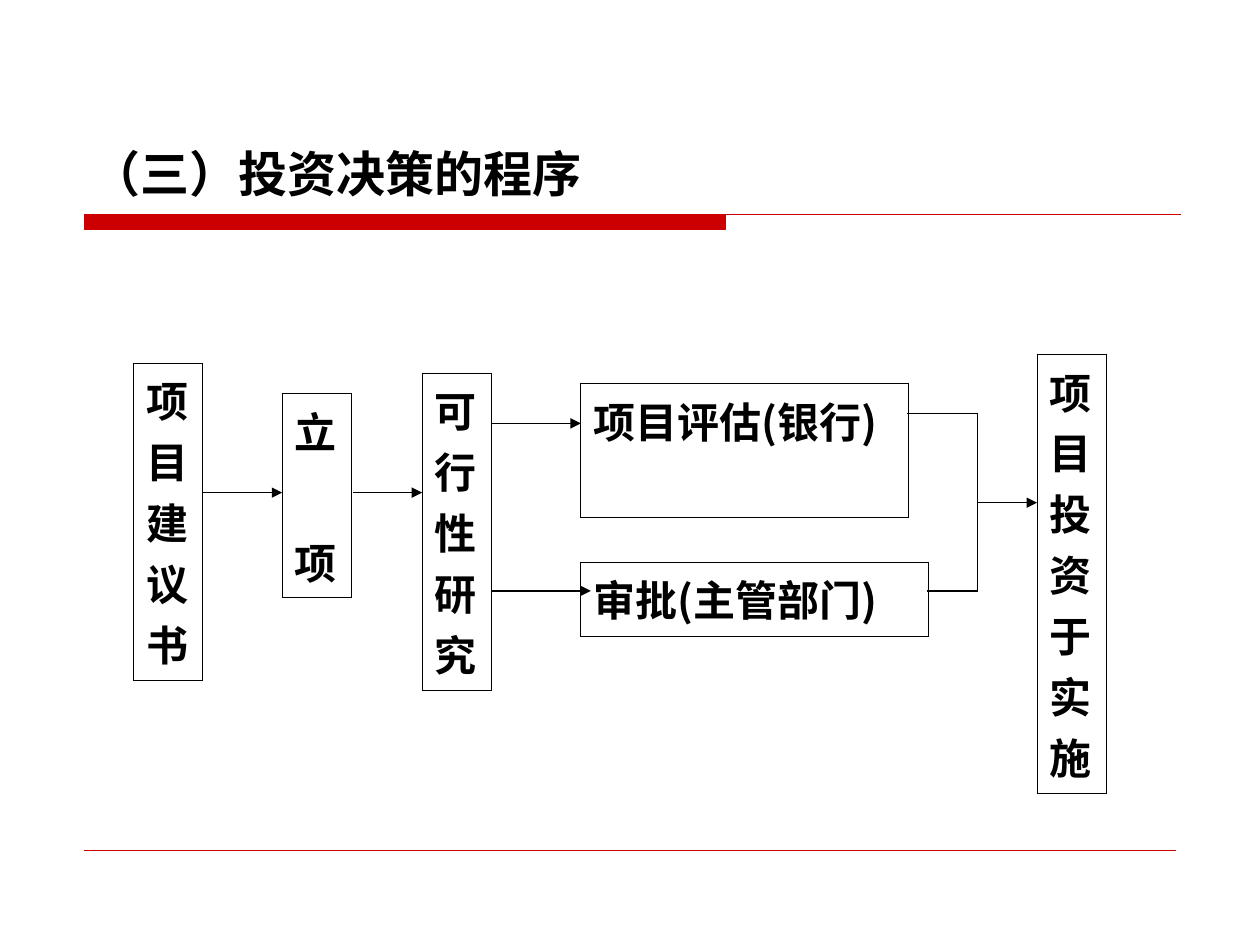
"""Build a slide with a flow chart of the investment decision steps."""
import pptx
import pptx.dml.color
import pptx.enum.shapes
import pptx.enum.text
import pptx.oxml
import pptx.oxml.ns
import pptx.util

Inches, Pt = pptx.util.Inches, pptx.util.Pt
SANS, HAN = "DejaVu Sans", "Noto Sans CJK SC"
BLACK, RED = "000000", "CC0000"

TITLE = "（三）投资决策的程序"
STEPS = [
    ((1.06, 2.88, 0.55, 2.52), [[("项目建议书", SANS)]]),
    ((2.24, 3.12, 0.55, 1.61), [[("立", SANS)], [("项", SANS)]]),
    ((3.35, 2.96, 0.55, 2.52), [[("可行性研究", SANS)]]),
    ((4.61, 3.04, 2.6, 1.07), [[("项目评估", SANS), ("(银行)", HAN)]]),
    ((4.61, 4.46, 2.76, 0.59), [[("审批(主管部门)", HAN)]]),
    ((8.23, 2.81, 0.55, 3.49), [[("项目投资于实施", SANS)]]),
]
ARROWS = [
    (1.61, 3.91, 2.24, 3.91),
    (2.8, 3.91, 3.35, 3.91),
    (3.9, 3.36, 4.61, 3.36),
    (3.9, 4.69, 4.69, 4.69),
    (7.76, 3.99, 8.23, 3.99),
]
LINES = [
    (7.2, 3.28, 7.76, 3.28),
    (7.76, 3.28, 7.76, 4.69),
    (7.76, 4.69, 7.36, 4.69),
]


def color(code):
    return pptx.dml.color.RGBColor.from_string(code)


def node(tag, **attrs):
    item = pptx.oxml.parse_xml(f"<a:{tag} {pptx.oxml.ns.nsdecls('a')}/>")
    for key, value in attrs.items():
        item.set(key, value)
    return item


def style(run, size, face):
    font = run.font
    font.size, font.bold, font.name = Pt(size), True, face
    font.color.rgb = color(BLACK)
    run._r.get_or_add_rPr().append(node("ea", typeface=HAN))


def draw_line(slide, ends, code=BLACK, width=0.75, arrow=False):
    kind = pptx.enum.shapes.MSO_CONNECTOR.STRAIGHT
    line = slide.shapes.add_connector(kind, *map(Inches, ends))
    line.line.color.rgb = color(code)
    line.line.width = Pt(width)
    if arrow:
        line.line._get_or_add_ln().append(node("tailEnd", type="triangle"))
    line._element.spPr.append(node("effectLst"))


def edge(cell):
    props = cell._tc.get_or_add_tcPr()
    for spot, side in enumerate("LRTB"):
        line = node(f"ln{side}", w=str(Pt(0.45)))
        fill = node("solidFill")
        fill.append(node("srgbClr", val=BLACK))
        line.append(fill)
        props.insert(spot, line)


def add_step(slide, place, paras):
    table = slide.shapes.add_table(1, 1, *map(Inches, place)).table
    table.first_row = table.horz_banding = False
    cell = table.cell(0, 0)
    cell.fill.background()
    edge(cell)
    frame = cell.text_frame
    for index, parts in enumerate(paras):
        para = frame.add_paragraph() if index else frame.paragraphs[0]
        para.space_before = Pt(40 if index else 0)
        for text, face in parts:
            run = para.add_run()
            run.text = text
            style(run, 24, face)


def add_title(slide):
    title = slide.shapes.title
    title.left, title.top, title.width, title.height = map(
        Inches, (0.63, 0.33, 8.75, 1.33))
    frame = title.text_frame
    frame.text = TITLE
    frame.vertical_anchor = pptx.enum.text.MSO_ANCHOR.BOTTOM
    para = frame.paragraphs[0]
    para.alignment = pptx.enum.text.PP_ALIGN.LEFT
    style(para.runs[0], 28, SANS)


def add_bar(slide):
    left, top, mid, right, low = map(Inches, (0.67, 1.7, 5.76, 9.37, 1.82))
    pen = slide.shapes.build_freeform(left, top)
    pen.add_line_segments([(mid, top), (mid, low), (left, low)], close=True)
    pen.move_to(left, top)
    pen.add_line_segments([(right, top)], close=False)
    bar = pen.convert_to_shape()
    bar.shadow.inherit = False
    bar.fill.solid()
    bar.fill.fore_color.rgb = bar.line.color.rgb = color(RED)
    bar.line.width = Pt(0.75)


def main():
    deck = pptx.Presentation()
    deck.slide_width, deck.slide_height = Inches(10), Inches(7.5)
    slide = deck.slides.add_slide(deck.slide_layouts[5])
    add_bar(slide)
    draw_line(slide, (0.67, 6.75, 9.33, 6.75), RED, 0.25)
    add_title(slide)
    for place, paras in STEPS:
        add_step(slide, place, paras)
    for ends in ARROWS:
        draw_line(slide, ends, arrow=True)
    for ends in LINES:
        draw_line(slide, ends)
    deck.save("out.pptx")


if __name__ == "__main__":
    main()
